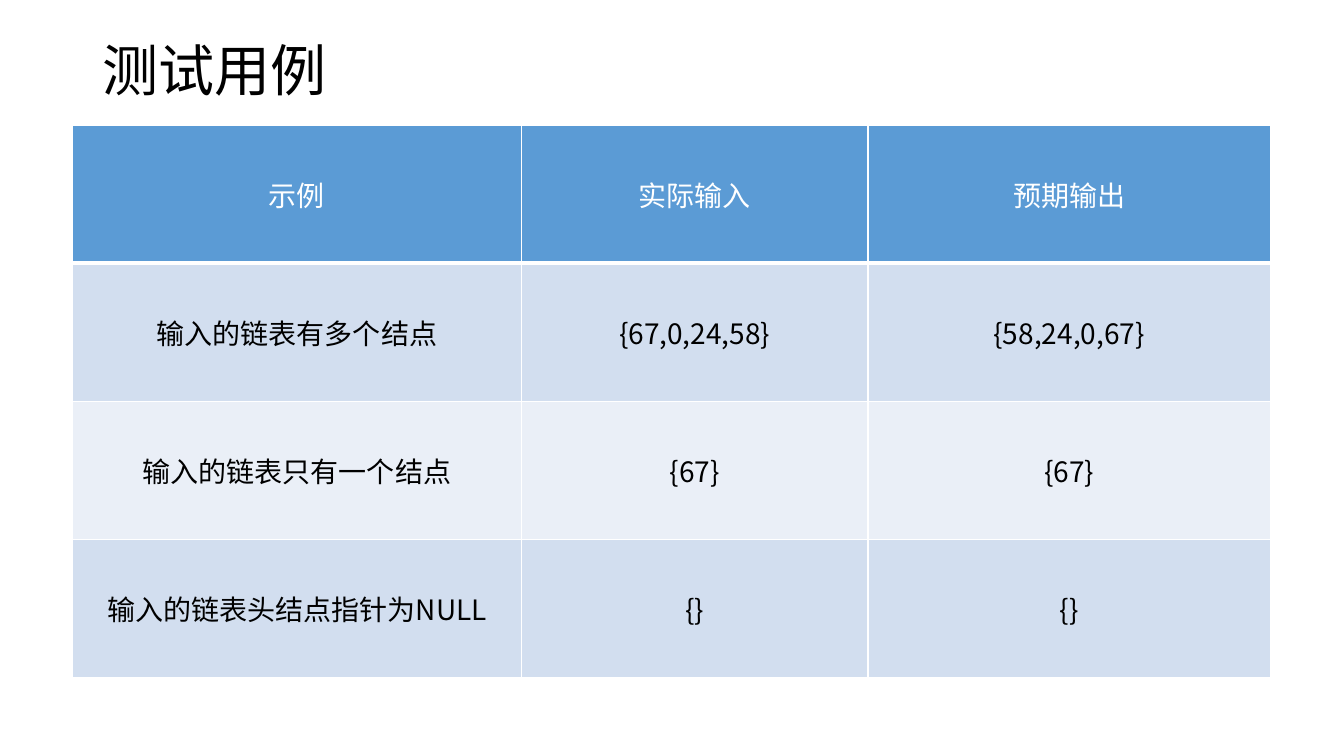
from lxml import etree
from pptx import Presentation
from pptx.dml.color import RGBColor
from pptx.enum.text import MSO_ANCHOR, PP_ALIGN
from pptx.oxml.ns import qn
from pptx.util import Inches, Pt

MIDDLE = MSO_ANCHOR.MIDDLE
LEFT, CENTER = PP_ALIGN.LEFT, PP_ALIGN.CENTER

THEME = {
    "font": "Noto Sans CJK SC",
    "title_size": 40,
    "cell_size": 20,
    "dark": "000000",
    "light": "FFFFFF",
    "header": "5B9BD5",
    "bands": ["D2DEEF", "EAEFF7"],
}

CASES = [
    ["示例", "实际输入", "预期输出"],
    ["输入的链表有多个结点", "{67,0,24,58}", "{58,24,0,67}"],
    ["输入的链表只有一个结点", "{67}", "{67}"],
    ["输入的链表头结点指针为NULL", "{}", "{}"],
]
COL_WIDTHS = [4.45, 3.44, 3.99]
ROW_HEIGHT = 1.37


def write(tf, text, size, color, align):
    p = tf.paragraphs[0]
    p.alignment = align
    r = p.add_run()
    r.text = text
    formats = {"name": THEME["font"], "size": Pt(size), "bold": False}
    for name, value in formats.items():
        setattr(r.font, name, value)
    r.font.color.rgb = RGBColor.from_string(color)
    ea = etree.SubElement(r.font._element, qn("a:ea"))
    ea.set("typeface", THEME["font"])
    return p


def add_borders(cell, widths):
    tcPr = cell._tc.get_or_add_tcPr()
    for side, width in widths.items():
        ln = etree.SubElement(tcPr, qn(f"a:ln{side}"), w=str(Pt(width)))
        fill = etree.SubElement(ln, qn("a:solidFill"))
        etree.SubElement(fill, qn("a:srgbClr"), val=THEME["light"])


prs = Presentation()
prs.slide_width, prs.slide_height = Inches(13.33), Inches(7.5)
s = prs.slides.add_slide(prs.slide_layouts[6])

title = s.shapes.add_textbox(Inches(0.92), 0, Inches(11.5), Inches(1.45))
tf = title.text_frame
for name, value in {"word_wrap": True, "vertical_anchor": MIDDLE}.items():
    setattr(tf, name, value)
p = write(tf, "测试用例", THEME["title_size"], THEME["dark"], LEFT)
p.line_spacing = 0.9

table = s.shapes.add_table(
    len(CASES), len(COL_WIDTHS), Inches(0.72), Inches(1.24),
    Inches(sum(COL_WIDTHS)), Inches(ROW_HEIGHT * len(CASES)),
).table
for col, width in zip(table.columns, COL_WIDTHS):
    col.width = Inches(width)

for i, case in enumerate(CASES):
    table.rows[i].height = Inches(ROW_HEIGHT)
    is_header = i == 0
    fill = THEME["header"] if is_header else THEME["bands"][(i - 1) % 2]
    color = THEME["light"] if is_header else THEME["dark"]
    for j, text in enumerate(case):
        cell = table.cell(i, j)
        cell.vertical_anchor = MIDDLE
        add_borders(cell, {"L": 1, "R": 1, "T": 1, "B": 3 if is_header else 1})
        cell.fill.solid()
        cell.fill.fore_color.rgb = RGBColor.from_string(fill)
        write(cell.text_frame, text, THEME["cell_size"], color, CENTER)

prs.save("out.pptx")
